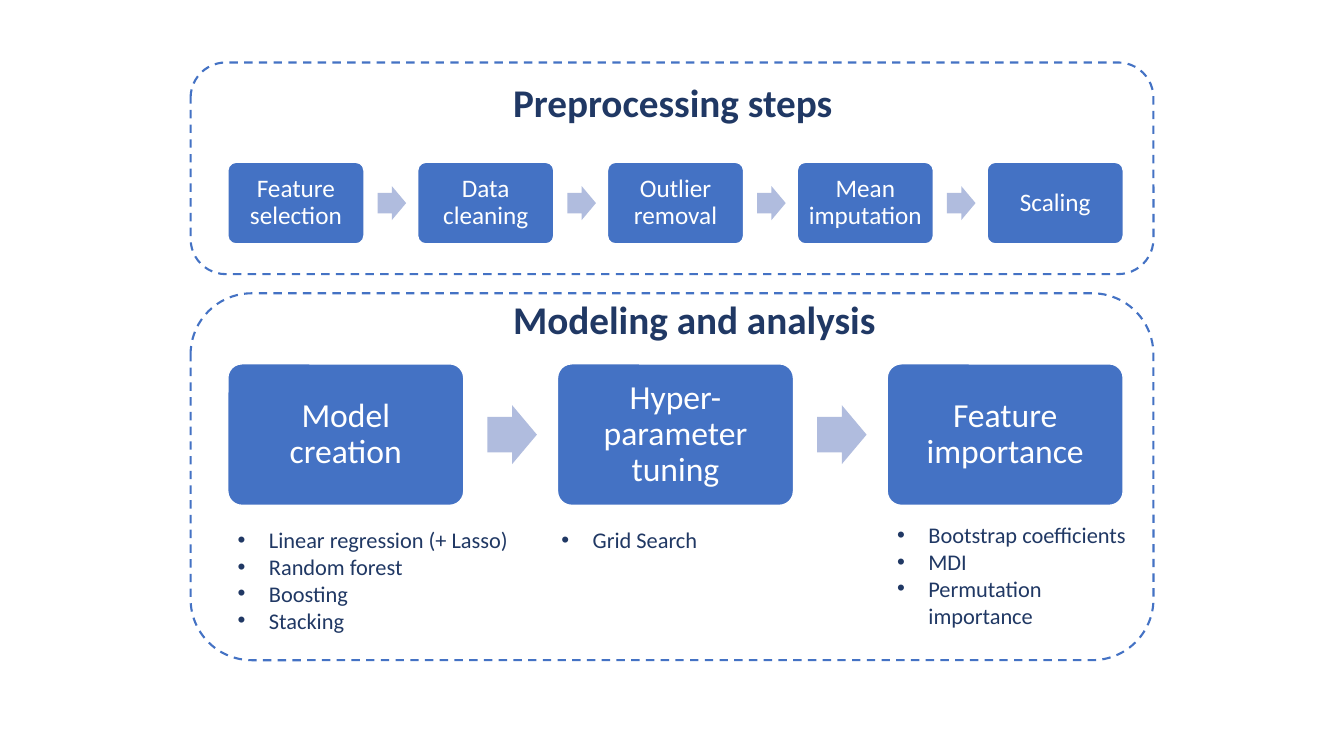
from lxml.etree import SubElement
from pptx import Presentation
from pptx.dml.color import RGBColor
from pptx.enum.dml import MSO_LINE as Dash
from pptx.enum.shapes import MSO_SHAPE as Kind
from pptx.enum.text import MSO_ANCHOR as Anchor, MSO_AUTO_SIZE as Fit, PP_ALIGN as Align
from pptx.oxml.ns import qn
from pptx.util import Inches, Pt

WIDE, HIGH = 13.33, 7.5
BLUE, NAVY, PALE, WHITE = "4472C4", "203864", "B0BCDE", "FFFFFF"
LEFT, SPAN = 2.26, 8.88
PANELS = [
    {"top": 0.62, "high": 2.1, "head": "Preprocessing steps", "at": (4.99, 0.73, 3.43, 0.57),
     "row": 1.61, "box": 1.35, "size": 18, "pad": 0.07,
     "steps": ["Feature selection", "Data cleaning", "Outlier removal",
               "Mean imputation", "Scaling"]},
    {"top": 2.91, "high": 3.64, "head": "Modeling and analysis", "at": (4.99, 2.88, 3.81, 0.57),
     "row": 3.61, "box": 2.34, "size": 24, "pad": 0.1,
     "steps": ["Model creation", "Hyper-parameter tuning", "Feature importance"]},
]
LISTS = [
    ((2.26, 5.17, 3.17, 1.18),
     ["Linear regression (+ Lasso)", "Random forest", "Boosting", "Stacking"]),
    ((5.47, 5.17, 2.62, 0.37), ["Grid Search"]),
    ((8.8, 5.12, 2.54, 1.18),
     ["Bootstrap coefficients", "MDI", "Permutation importance"]),
]


def tint(text):
    return RGBColor.from_string(text)


def put(item, values):
    for name, value in values.items():
        setattr(item, name, value)


def draw(home, kind, at, fill=None, line=None, width=1):
    shape = home.add_shape(kind, *map(Inches, at))
    shape.shadow.inherit = False
    for part, color in ((shape.fill, fill), (shape.line.fill, line)):
        if color:
            part.solid()
            part.fore_color.rgb = tint(color)
        else:
            part.background()
    if line:
        shape.line.width = Pt(width)
    return shape


def write(frame, lines, size, color, bold=False, **form):
    for i, text in enumerate(lines):
        para = frame.paragraphs[0] if i == 0 else frame.add_paragraph()
        put(para, form)
        run = para.add_run()
        run.text = text
        put(run.font, {"name": "Calibri", "size": Pt(size), "bold": bold})
        run.font.color.rgb = tint(color)


def label(home, at, lines, size, wrap, bold=False):
    frame = home.add_textbox(*map(Inches, at)).text_frame
    put(frame, {"word_wrap": wrap, "auto_size": Fit.SHAPE_TO_FIT_TEXT})
    write(frame, lines, size, NAVY, bold)
    return frame


def bullet(para):
    props = para._p.get_or_add_pPr()
    props.set("marL", str(Inches(0.31)))
    props.set("indent", str(-Inches(0.31)))
    SubElement(props, qn("a:buFont")).set("typeface", "Arial")
    SubElement(props, qn("a:buChar")).set("char", "•")


def flow(home, panel):
    steps, wide, top = panel["steps"], panel["box"], panel["row"]
    tall, pitch = wide * 0.6, (SPAN - wide) / (len(steps) - 1)
    for i, step in enumerate(steps):
        x = LEFT + i * pitch
        box = draw(home, Kind.ROUNDED_RECTANGLE, (x, top, wide, tall), BLUE, WHITE)
        box.adjustments[0] = 0.1
        pad = Inches(panel["pad"])
        put(box.text_frame, {"word_wrap": True, "vertical_anchor": Anchor.MIDDLE,
                             "margin_left": pad, "margin_right": pad,
                             "margin_top": pad, "margin_bottom": pad})
        write(box.text_frame, [step], panel["size"], WHITE,
              alignment=Align.CENTER, line_spacing=0.9)
        if i < len(steps) - 1:
            deep = wide * 0.25
            at = (x + wide * 1.1, top + (tall - deep) / 2, wide * 0.21, deep)
            arrow = draw(home, Kind.RIGHT_ARROW, at, PALE)
            arrow.adjustments[0] = 0.6
            arrow.adjustments[1] = 0.5


def main():
    deck = Presentation()
    put(deck, {"slide_width": Inches(WIDE), "slide_height": Inches(HIGH)})
    shapes = deck.slides.add_slide(deck.slide_layouts[6]).shapes
    for panel in PANELS:
        frame = draw(shapes, Kind.ROUNDED_RECTANGLE,
                     (1.89, panel["top"], 9.55, panel["high"]), line=BLUE, width=1.5)
        frame.line.dash_style = Dash.DASH
        flow(shapes.add_group_shape().shapes, panel)
        label(shapes, panel["at"], [panel["head"]], 28, False, True)
    for at, lines in LISTS:
        for para in label(shapes, at, lines, 16, True).paragraphs:
            bullet(para)
    deck.save("out.pptx")


if __name__ == "__main__":
    main()
